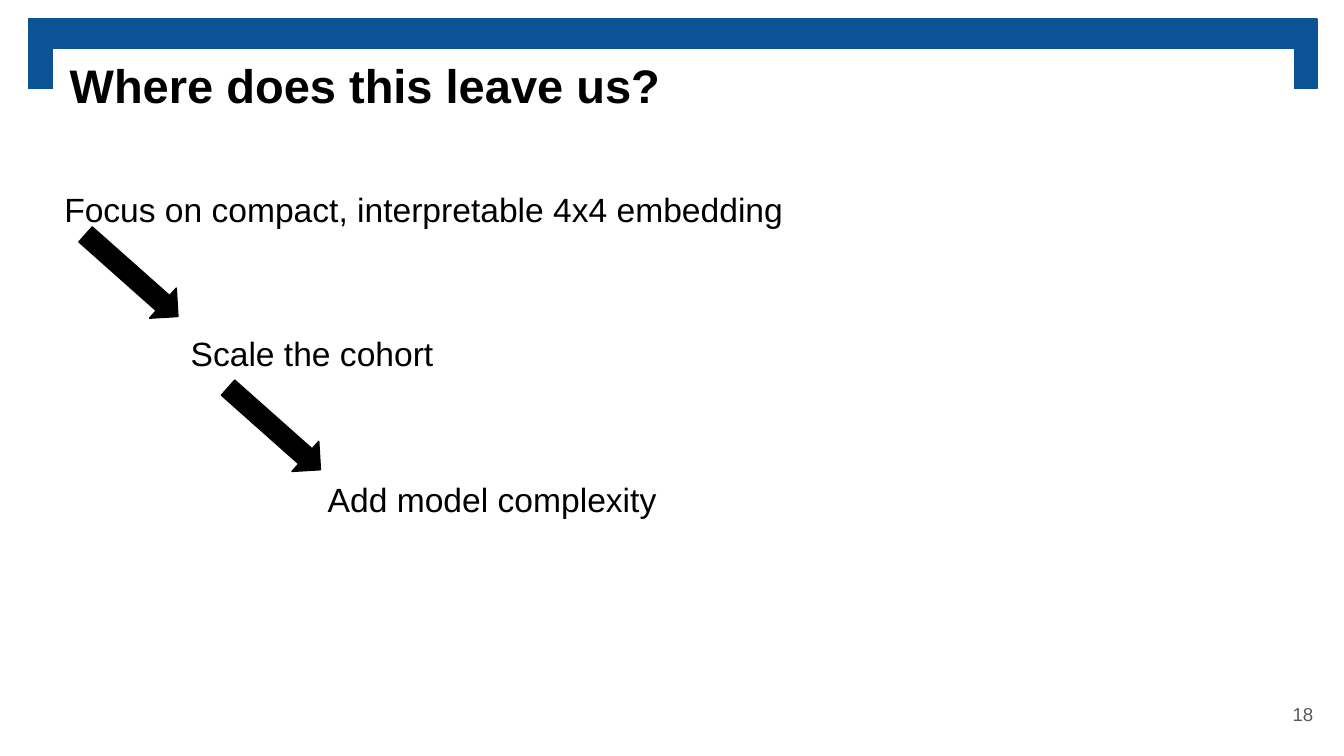
import pptx
import pptx.dml.color
import pptx.enum.shapes
import pptx.enum.text
import pptx.util

Inches = pptx.util.Inches
Pt = pptx.util.Pt
SHAPES = pptx.enum.shapes.MSO_SHAPE
ALIGN = pptx.enum.text.PP_ALIGN
ANCHOR = pptx.enum.text.MSO_ANCHOR

COLORS = {"blue": "0B5394", "white": "FFFFFF", "black": "000000", "gray": "595959"}


def rgb(name):
    """Return the named colour."""
    return pptx.dml.color.RGBColor.from_string(COLORS[name])


def write(frame, text, size=18, color="black", bold=False, align=ALIGN.LEFT,
          anchor=ANCHOR.TOP, spacing=None, after=None):
    """Write one formatted paragraph into a text frame."""
    frame.word_wrap = True
    frame.vertical_anchor = anchor
    frame.margin_left = frame.margin_right = Inches(0.1)
    frame.margin_top = frame.margin_bottom = Inches(0.1)
    paragraph = frame.paragraphs[0]
    paragraph.alignment = align
    paragraph.line_spacing = spacing
    paragraph.space_after = after
    run = paragraph.add_run()
    run.text = text
    run.font.name = "Arial"
    run.font.size = Pt(size)
    run.font.bold = bold
    run.font.color.rgb = rgb(color)


class Deck:
    """Hold the style and the current slide."""

    def __init__(self, width, height):
        """Start a deck with one blank slide."""
        self.deck = pptx.Presentation()
        self.deck.slide_width = Inches(width)
        self.deck.slide_height = Inches(height)
        self.slide = self.deck.slides.add_slide(self.deck.slide_layouts[6])

    def shape(self, kind, box, color):
        """Add a preset shape in one colour."""
        shape = self.slide.shapes.add_shape(kind, *map(Inches, box))
        shape.shadow.inherit = False
        shape.fill.solid()
        shape.fill.fore_color.rgb = rgb(color)
        shape.line.color.rgb = rgb(color)
        shape.line.width = Pt(0.75)
        return shape

    def arrow(self, left, top):
        """Add a block arrow pointing down to the next step."""
        arrow = self.shape(SHAPES.RIGHT_ARROW, (left, top, 0.92, 0.3), "black")
        arrow.rotation = 41.6

    def text(self, box, text, **style):
        """Add a text box."""
        label = self.slide.shapes.add_textbox(*map(Inches, box))
        write(label.text_frame, text, **style)


def main():
    """Build and save the slide."""
    deck = Deck(10, 10 * 9 / 16)
    deck.shape(SHAPES.RECTANGLE, (0.21, 0.14, 9.59, 0.52), "blue")
    deck.shape(SHAPES.RECTANGLE, (0.4, 0.37, 9.22, 4.81), "white")
    deck.text((0.42, 0.32, 9.32, 0.63), "Where does this leave us?", size=25.2, bold=True)

    steps = [
        (0.38, 1.26, "Focus on compact, interpretable 4x4 embedding"),
        (1.32, 2.33, "Scale the cohort"),
        (2.34, 3.42, "Add model complexity"),
    ]
    for left, top, step in steps:
        deck.text((left, top, 9.32, 1.55), step, spacing=1.15, after=Pt(12))
    for left, top in [(0.52, 1.9), (1.58, 3.04)]:
        deck.arrow(left, top)

    deck.text((9.27, 5.1, 0.6, 0.43), "18", size=10, color="gray",
              align=ALIGN.RIGHT, anchor=ANCHOR.MIDDLE)
    deck.deck.save("out.pptx")


if __name__ == "__main__":
    main()
